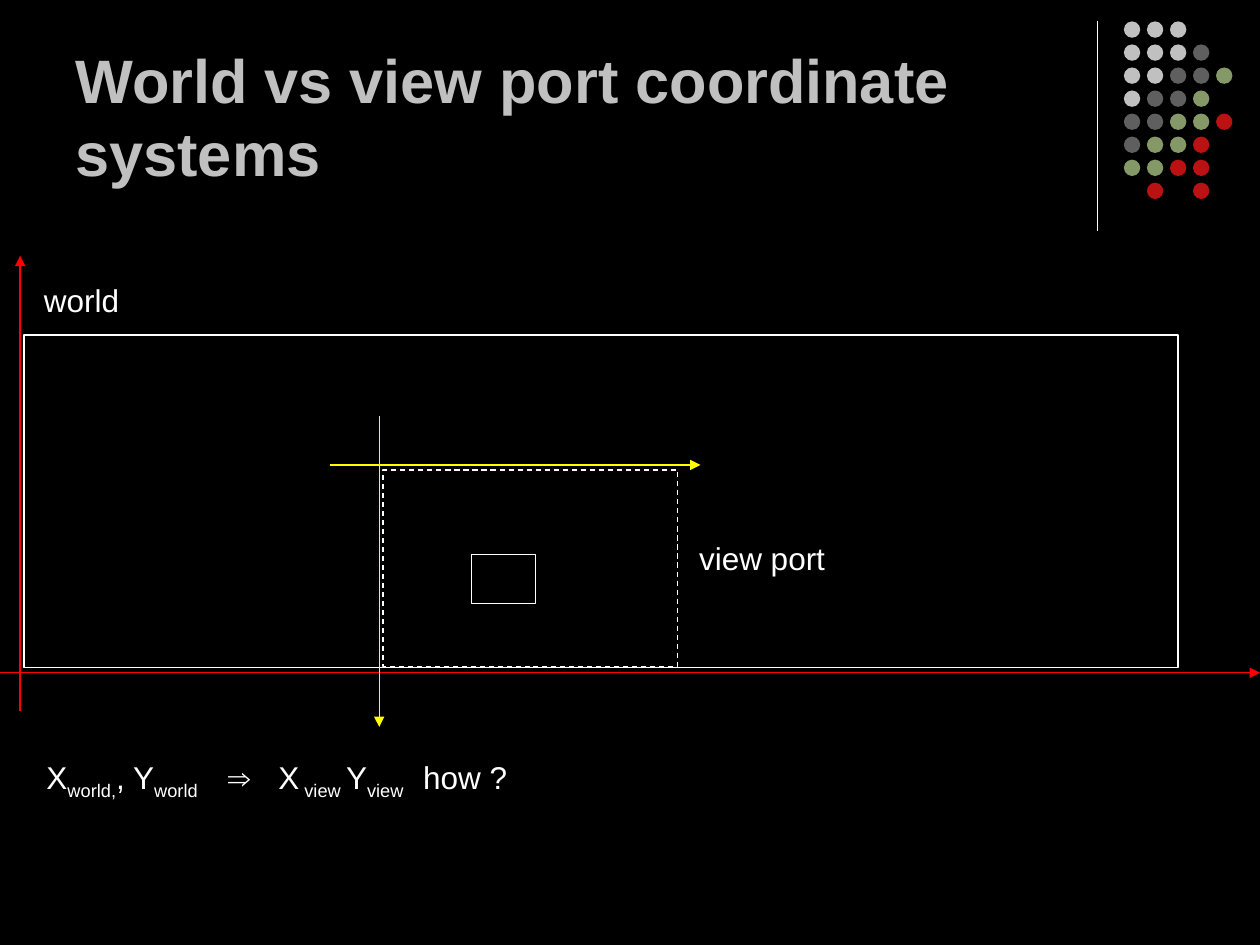
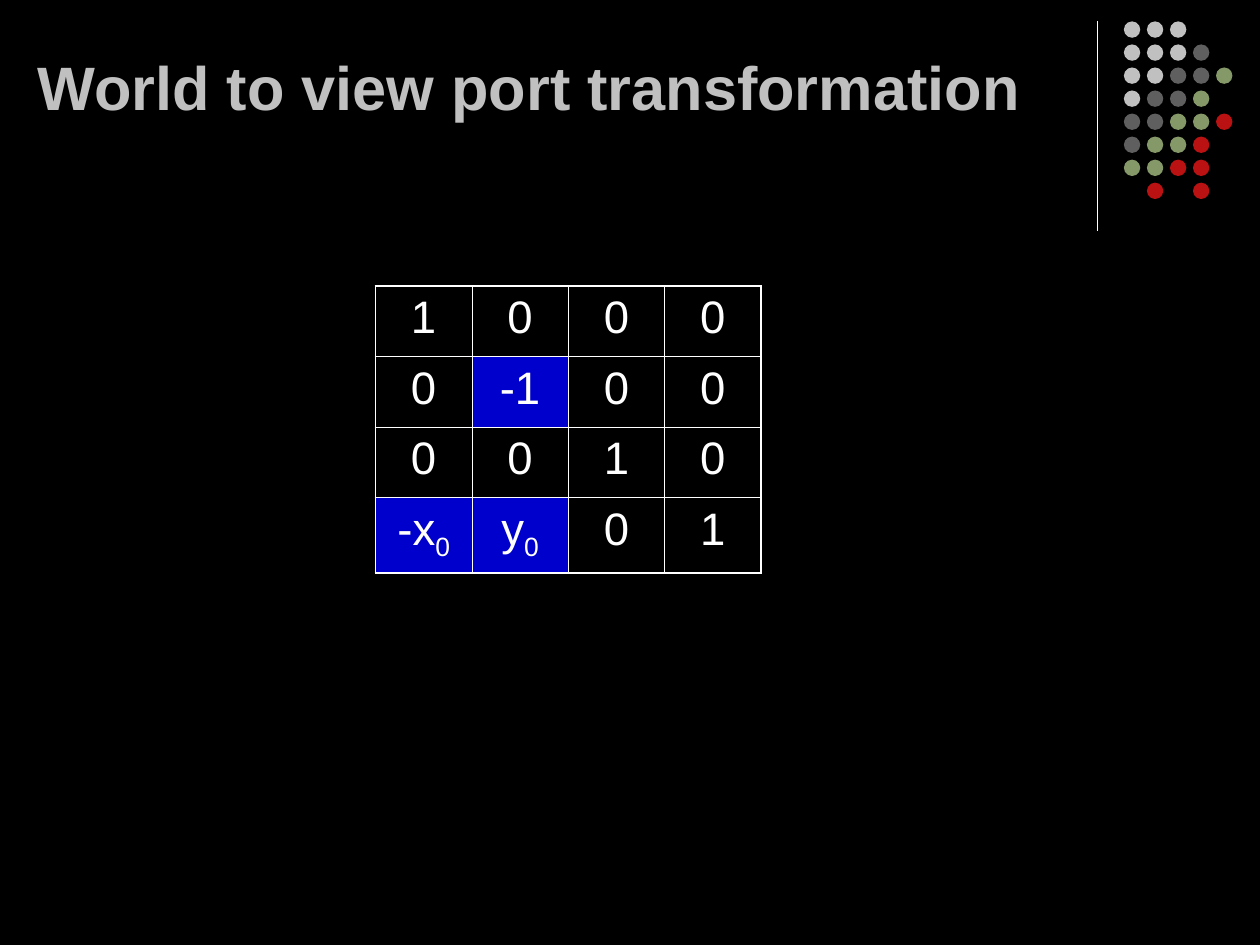
from lxml import etree
from pptx import Presentation
from pptx.dml.color import RGBColor
from pptx.enum.dml import MSO_LINE
from pptx.enum.shapes import MSO_CONNECTOR, MSO_SHAPE
from pptx.enum.text import MSO_ANCHOR, PP_ALIGN
from pptx.oxml.ns import qn
from pptx.util import Inches, Pt

STRAIGHT = MSO_CONNECTOR.STRAIGHT
RECTANGLE, OVAL = MSO_SHAPE.RECTANGLE, MSO_SHAPE.OVAL
DASH = MSO_LINE.DASH
BOTTOM = MSO_ANCHOR.BOTTOM
LEFT, CENTER = PP_ALIGN.LEFT, PP_ALIGN.CENTER

COLORS = {
    "background": "000000",
    "white": "FFFFFF",
    "silver": "C0C0C0",
    "gray": "5F5F5F",
    "green": "859868",
    "dark red": "BA1212",
    "world axis": "FF0000",
    "view axis": "FFFF00",
    "highlight": "0000CC",
}

TITLE_FONT = {"size": Pt(35), "bold": True}
LABEL_FONT = {"size": Pt(18)}
LABEL_PARAGRAPH = {"alignment": LEFT, "space_before": Pt(11.2)}
CELL_FONT = {"size": Pt(26)}
CELL_PARAGRAPH = {"alignment": CENTER, "space_before": Pt(6.5)}

LINE_WIDTH = 0.75
OUTER_BORDER, INNER_BORDER = 1.08, 0.45

DOT_ROWS = ["SSS", "SSSG", "SSGGN", "SGGN", "GGNNR", "GNNR", "NNRR", " R R"]
DOT_COLORS = {"S": "silver", "G": "gray", "N": "green", "R": "dark red"}
DOT_LEFT, DOT_TOP, DOT_SIZE = 8.92, 0.17, 0.13
DOT_PITCH = 1.28 / 7

# Text and its baseline shift in percent
FORMULA = [("X", 0), ("world,", -25), (", Y", 0), ("world", -25), ("\t⇒\tX", 0),
           (" view ", -25), ("Y", 0), ("view", -25), ("\thow ?", 0)]
FORMULA_TABS = [1.44, 1.84, 2.99]

MATRIX = [
    ["1", "0", "0", "0"],
    ["0", "-1", "0", "0"],
    ["0", "0", "1", "0"],
    [[("-x", 0), ("0", -25)], [("y", 0), ("0", -25)], "0", "1"],
]
HIGHLIGHTED_CELLS = {(1, 1), (3, 0), (3, 1)}
ROW_HEIGHTS = [0.56, 0.56, 0.56, 0.6]
COLUMN_WIDTH = 0.765


def color(name):
    return RGBColor.from_string(COLORS[name])


def set_attributes(target, values):
    for name, value in values.items():
        setattr(target, name, value)


def write_text(text_frame, content, font, paragraph_format, color_name="white"):
    """Write a string, or a list of (text, baseline shift) pairs, as one paragraph."""
    paragraph = text_frame.paragraphs[0]
    set_attributes(paragraph, paragraph_format)
    runs = [(content, 0)] if isinstance(content, str) else content
    for text, baseline in runs:
        run = paragraph.add_run()
        run.text = text
        set_attributes(run.font, {"name": "Arial", **font})
        run.font.color.rgb = color(color_name)
        if baseline:
            run.font._element.set("baseline", str(baseline * 1000))
    return paragraph


def add_text_box(slide, box):
    text_frame = slide.shapes.add_textbox(*map(Inches, box)).text_frame
    text_frame.word_wrap = True
    return text_frame


def add_title(slide, text, box):
    text_frame = add_text_box(slide, box)
    text_frame.vertical_anchor = BOTTOM
    write_text(text_frame, text, TITLE_FONT, {"alignment": LEFT}, "silver")


def add_label(slide, content, box):
    return write_text(add_text_box(slide, box), content, LABEL_FONT, LABEL_PARAGRAPH)


def set_tab_stops(paragraph, positions):
    tab_list = etree.SubElement(paragraph._p.get_or_add_pPr(), qn("a:tabLst"))
    for position in positions:
        etree.SubElement(tab_list, qn("a:tab"), pos=str(Inches(position)), algn="l")


def add_frame(slide, box, dash_style=None):
    frame = slide.shapes.add_shape(RECTANGLE, *map(Inches, box))
    frame.shadow.inherit = False
    frame.fill.background()
    frame.line.color.rgb = color("white")
    frame.line.width = Pt(LINE_WIDTH)
    if dash_style:
        frame.line.dash_style = dash_style


def add_line(slide, start, end, color_name, arrow=False):
    connector = slide.shapes.add_connector(STRAIGHT, *map(Inches, start + end))
    connector.line.color.rgb = color(color_name)
    connector.line.width = Pt(LINE_WIDTH)
    if arrow:
        etree.SubElement(connector.line._get_or_add_ln(), qn("a:tailEnd"), type="triangle")
    etree.SubElement(connector._element.spPr, qn("a:effectLst"))


def add_dot_pattern(slide):
    group = slide.shapes.add_group_shape()
    for row, letters in enumerate(DOT_ROWS):
        for column, letter in enumerate(letters):
            if letter == " ":
                continue
            dot = group.shapes.add_shape(
                OVAL,
                Inches(DOT_LEFT + column * DOT_PITCH),
                Inches(DOT_TOP + row * DOT_PITCH),
                Inches(DOT_SIZE), Inches(DOT_SIZE))
            dot.shadow.inherit = False
            dot.fill.solid()
            dot.fill.fore_color.rgb = color(DOT_COLORS[letter])
            dot.line.fill.background()


def add_base_slide(presentation):
    """Add a blank slide with the shared background, divider and dots."""
    slide = presentation.slides.add_slide(presentation.slide_layouts[6])
    slide.background.fill.solid()
    slide.background.fill.fore_color.rgb = color("background")
    add_line(slide, (8.71, 0.17), (8.71, 1.83), "white")
    add_dot_pattern(slide)
    return slide


def set_cell_borders(cell, outer_sides):
    """Draw all four borders, with thicker ones on the outer sides."""
    properties = cell._tc.get_or_add_tcPr()
    for side in "LRTB":
        width = OUTER_BORDER if side in outer_sides else INNER_BORDER
        border = etree.SubElement(properties, qn(f"a:ln{side}"), w=str(Pt(width)))
        fill = etree.SubElement(border, qn("a:solidFill"))
        etree.SubElement(fill, qn("a:srgbClr"), val=COLORS["white"])


def add_matrix(slide, left, top):
    row_count, column_count = len(MATRIX), len(MATRIX[0])
    table = slide.shapes.add_table(
        row_count, column_count, Inches(left), Inches(top),
        Inches(COLUMN_WIDTH * column_count), Inches(sum(ROW_HEIGHTS))).table
    set_attributes(table, {"first_row": False, "horz_banding": False})
    for column in table.columns:
        column.width = Inches(COLUMN_WIDTH)
    for row, values in enumerate(MATRIX):
        table.rows[row].height = Inches(ROW_HEIGHTS[row])
        for column, content in enumerate(values):
            cell = table.cell(row, column)
            write_text(cell.text_frame, content, CELL_FONT, CELL_PARAGRAPH)
            edges = {"L": column == 0, "R": column == column_count - 1,
                     "T": row == 0, "B": row == row_count - 1}
            set_cell_borders(cell, [side for side in edges if edges[side]])
            if (row, column) in HIGHLIGHTED_CELLS:
                cell.fill.solid()
                cell.fill.fore_color.rgb = color("highlight")
            else:
                cell.fill.background()


def build_coordinate_systems(presentation):
    slide = add_base_slide(presentation)
    add_title(slide, "World vs view port coordinate systems", (0.5, 0.13, 8.25, 1.42))
    add_frame(slide, (0.19, 2.66, 9.16, 2.64))
    add_frame(slide, (3.04, 3.73, 2.34, 1.56), DASH)
    for start, end, axis_color in [
        ((0.16, 5.64), (0.16, 2.03), "world axis"),
        ((0, 5.34), (10, 5.34), "world axis"),
        ((3.01, 3.3), (3.01, 5.77), "view axis"),
        ((2.62, 3.69), (5.56, 3.69), "view axis"),
    ]:
        add_line(slide, start, end, axis_color, arrow=True)
    add_frame(slide, (3.74, 4.4, 0.51, 0.39))
    add_label(slide, "view port", (5.45, 4.23, 1.74, 0.4))
    add_label(slide, "world", (0.25, 2.18, 1.74, 0.4))
    formula = add_label(slide, FORMULA, (0.27, 5.97, 9.28, 0.44))
    set_tab_stops(formula, FORMULA_TABS)


def build_transformation(presentation):
    slide = add_base_slide(presentation)
    add_title(slide, "World to view port transformation", (0.2, 0.13, 8.25, 0.89))
    add_matrix(slide, 2.98, 2.27)


def main():
    presentation = Presentation()
    presentation.slide_width = Inches(10)
    presentation.slide_height = Inches(7.5)
    build_coordinate_systems(presentation)
    build_transformation(presentation)
    presentation.save("out.pptx")


if __name__ == "__main__":
    main()
